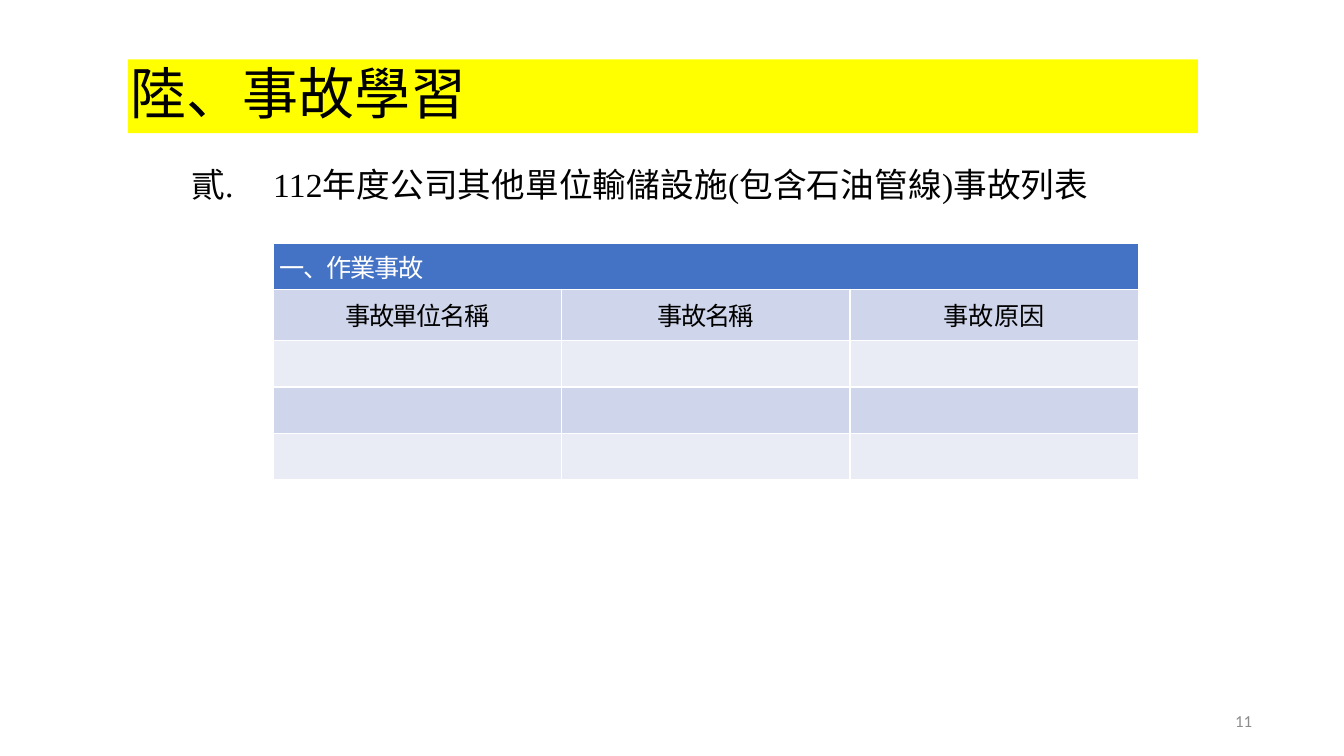
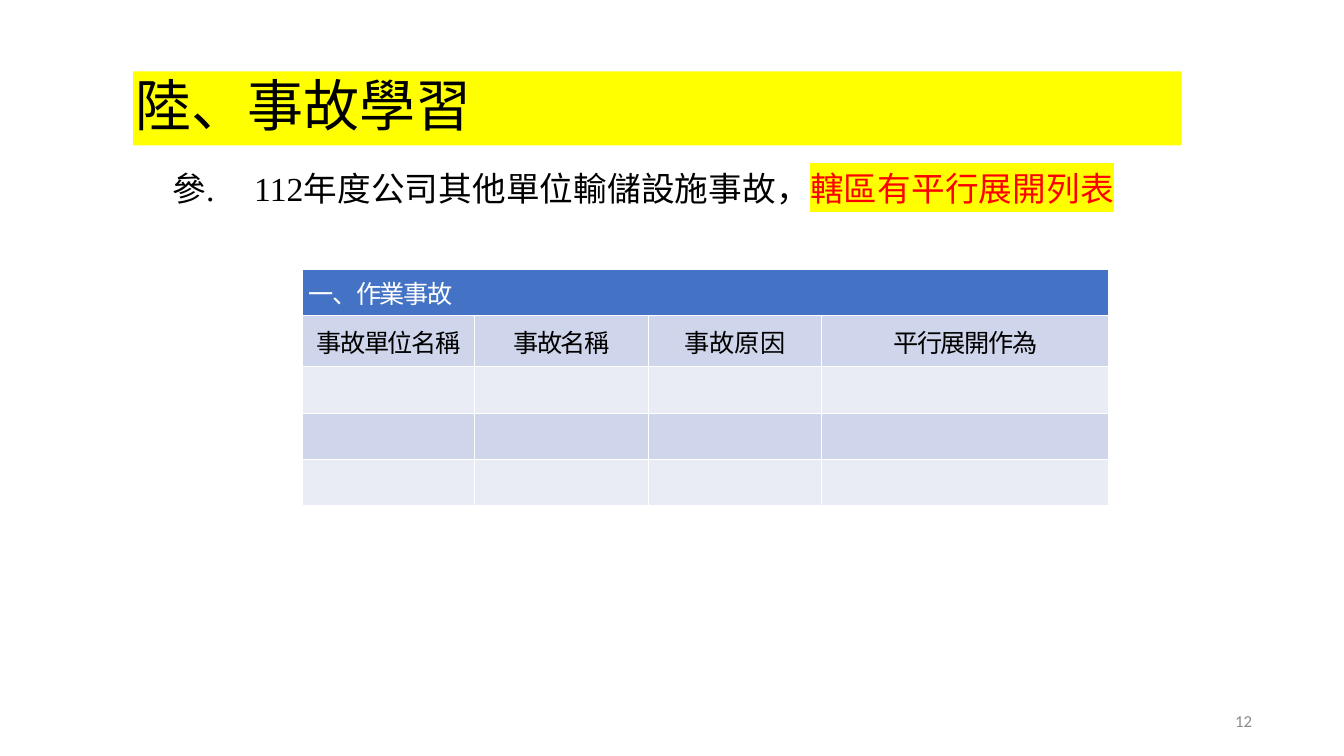
from dataclasses import dataclass

from lxml.etree import SubElement
from pptx import Presentation
from pptx.dml.color import RGBColor
from pptx.enum.text import MSO_ANCHOR, MSO_AUTO_SIZE, PP_ALIGN
from pptx.oxml.ns import qn
from pptx.util import Inches, Pt


@dataclass(frozen=True)
class Theme:
    """Colours, fonts and type sizes shared by the slides."""
    black: str = "000000"
    white: str = "FFFFFF"
    yellow: str = "FFFF00"
    red: str = "FF0000"
    grey: str = "8C8C8C"
    header: str = "4472C4"
    bands: tuple = ("CFD5EA", "E9EBF5")
    serif: str = "Times New Roman"
    cjk: str = "Noto Sans CJK SC"
    sans: str = "Calibri"
    title: int = 40
    heading: int = 24
    cell: int = 18
    number: int = 12


THEME = Theme()
ROW_HEIGHTS = (0.46, 0.51, 0.46, 0.46, 0.46)
TITLE = "陸、事故學習"
TABLE_TITLE = "一、作業事故"
COLUMN_SPACING = {"事故原因": 0}


def rgb(value):
    """Return a colour object for a hex value."""
    return RGBColor.from_string(value)


def style(p, name, size, color, spacing=0):
    """Set the font of a whole paragraph, with letter spacing in points."""
    font = p.font
    font.name, font.size, font.bold = name, Pt(size), False
    font.color.rgb = rgb(color)
    props = p._p.pPr.find(qn("a:defRPr"))
    props.set("spc", str(round(spacing * 100)))
    SubElement(props, qn("a:ea")).set("typeface", THEME.cjk)


def indent(p, left, first=0):
    """Set the left margin and first-line indent of a paragraph."""
    pPr = p._p.get_or_add_pPr()
    pPr.set("marL", str(Inches(left)))
    pPr.set("indent", str(Inches(first)))
    return pPr


def prepare_frame(tf):
    """Make a text frame wrap without margins."""
    tf.word_wrap = True
    tf.margin_left = tf.margin_right = tf.margin_top = tf.margin_bottom = 0


def add_textbox(slide, left, top, width, height):
    """Add an empty text box and return its frame."""
    box = slide.shapes.add_textbox(Inches(left), Inches(top), Inches(width), Inches(height))
    prepare_frame(box.text_frame)
    return box.text_frame


def set_title(slide, left, top, width):
    """Place the title on its yellow band."""
    sp = slide.shapes.title
    sp.left, sp.top, sp.width, sp.height = map(Inches, (left, top, width, 0.61))
    sp.fill.solid()
    sp.fill.fore_color.rgb = rgb(THEME.yellow)
    tf = sp.text_frame
    tf.text = TITLE
    prepare_frame(tf)
    tf.auto_size = MSO_AUTO_SIZE.SHAPE_TO_FIT_TEXT
    tf.vertical_anchor = MSO_ANCHOR.MIDDLE
    p = tf.paragraphs[0]
    p.alignment, p.line_spacing = PP_ALIGN.LEFT, 0.9
    indent(p, 0.02)
    style(p, THEME.serif, THEME.title, THEME.black, 0.1)


def add_heading(slide, left, top, width, start, text, marked=""):
    """Add a numbered heading whose ending may be highlighted."""
    tf = add_textbox(slide, left, top, width, 0.4)
    tf.auto_size = MSO_AUTO_SIZE.SHAPE_TO_FIT_TEXT
    p = tf.paragraphs[0]
    number = SubElement(indent(p, 0.83, -0.81), qn("a:buAutoNum"))
    number.set("type", "ea1ChtPeriod")
    number.set("startAt", str(start))
    style(p, THEME.serif, THEME.heading, THEME.black, 0.1)
    p.add_run().text = text
    if marked:
        r = p.add_run()
        r.text = marked
        r.font.color.rgb = rgb(THEME.red)
        highlight = SubElement(r._r.rPr, qn("a:highlight"))
        SubElement(highlight, qn("a:srgbClr")).set("val", THEME.yellow)


def format_cell(cell, fill):
    """Give a cell white borders, a fill and small margins."""
    tcPr = cell._tc.get_or_add_tcPr()
    for side in "LRTB":
        ln = SubElement(tcPr, qn(f"a:ln{side}"))
        ln.set("w", str(Pt(1)))
        SubElement(SubElement(ln, qn("a:solidFill")), qn("a:srgbClr")).set("val", THEME.white)
    cell.fill.solid()
    cell.fill.fore_color.rgb = rgb(fill)
    cell.margin_left = cell.margin_right = Inches(0.06)
    cell.margin_top = cell.margin_bottom = Inches(0.03)
    cell.vertical_anchor = MSO_ANCHOR.MIDDLE


def write_cell(cell, text, color, align):
    """Write one line of text in a cell."""
    cell.text = text
    p = cell.text_frame.paragraphs[0]
    p.alignment = align
    style(p, THEME.cjk, THEME.cell, color, COLUMN_SPACING.get(text, -1))


def add_accident_table(slide, left, top, columns):
    """Add the accident table with its title row, column names and blank rows."""
    frame = slide.shapes.add_table(len(ROW_HEIGHTS), len(columns), Inches(left), Inches(top),
                                   Inches(sum(columns.values())), Inches(sum(ROW_HEIGHTS)))
    table = frame.table
    table.first_row = table.horz_banding = False
    for column, width in zip(table.columns, columns.values()):
        column.width = Inches(width)
    for i, (row, height) in enumerate(zip(table.rows, ROW_HEIGHTS)):
        row.height = Inches(height)
        for cell in row.cells:
            format_cell(cell, THEME.bands[(i - 1) % 2] if i else THEME.header)
    table.cell(0, 0).merge(table.cell(0, len(columns) - 1))
    write_cell(table.cell(0, 0), TABLE_TITLE, THEME.white, PP_ALIGN.LEFT)
    for j, name in enumerate(columns):
        write_cell(table.cell(1, j), name, THEME.black, PP_ALIGN.CENTER)


def add_number(slide, number):
    """Add the page number at the lower right."""
    tf = add_textbox(slide, 9.42, 6.95, 3, 0.4)
    tf.vertical_anchor = MSO_ANCHOR.MIDDLE
    p = tf.paragraphs[0]
    p.text = str(number)
    p.alignment = PP_ALIGN.RIGHT
    style(p, THEME.sans, THEME.number, THEME.grey)


def add_slide(prs, number, title, heading, table):
    """Add one accident slide."""
    slide = prs.slides.add_slide(prs.slide_layouts[5])
    set_title(slide, *title)
    add_accident_table(slide, *table)
    add_number(slide, number)
    add_heading(slide, *heading)


def main():
    """Build and save the presentation."""
    prs = Presentation()
    prs.slide_width, prs.slide_height = Inches(13.33), Inches(7.5)
    add_slide(prs, 11, (1.27, 0.65, 10.61),
              (1.88, 1.63, 10.24, 2, "112年度公司其他單位輸儲設施(包含石油管線)事故列表"),
              (2.71, 2.41, {"事故單位名稱": 2.86, "事故名稱": 2.86, "事故原因": 2.86}))
    add_slide(prs, 12, (1.32, 0.77, 10.4),
              (1.69, 1.67, 10.79, 3, "112年度公司其他單位輸儲設施事故，", "轄區有平行展開列表"),
              (3, 2.67, {"事故單位名稱": 1.71, "事故名稱": 1.72, "事故原因": 1.72,
                         "平行展開作為": 2.85}))
    prs.save("out.pptx")


if __name__ == "__main__":
    main()
